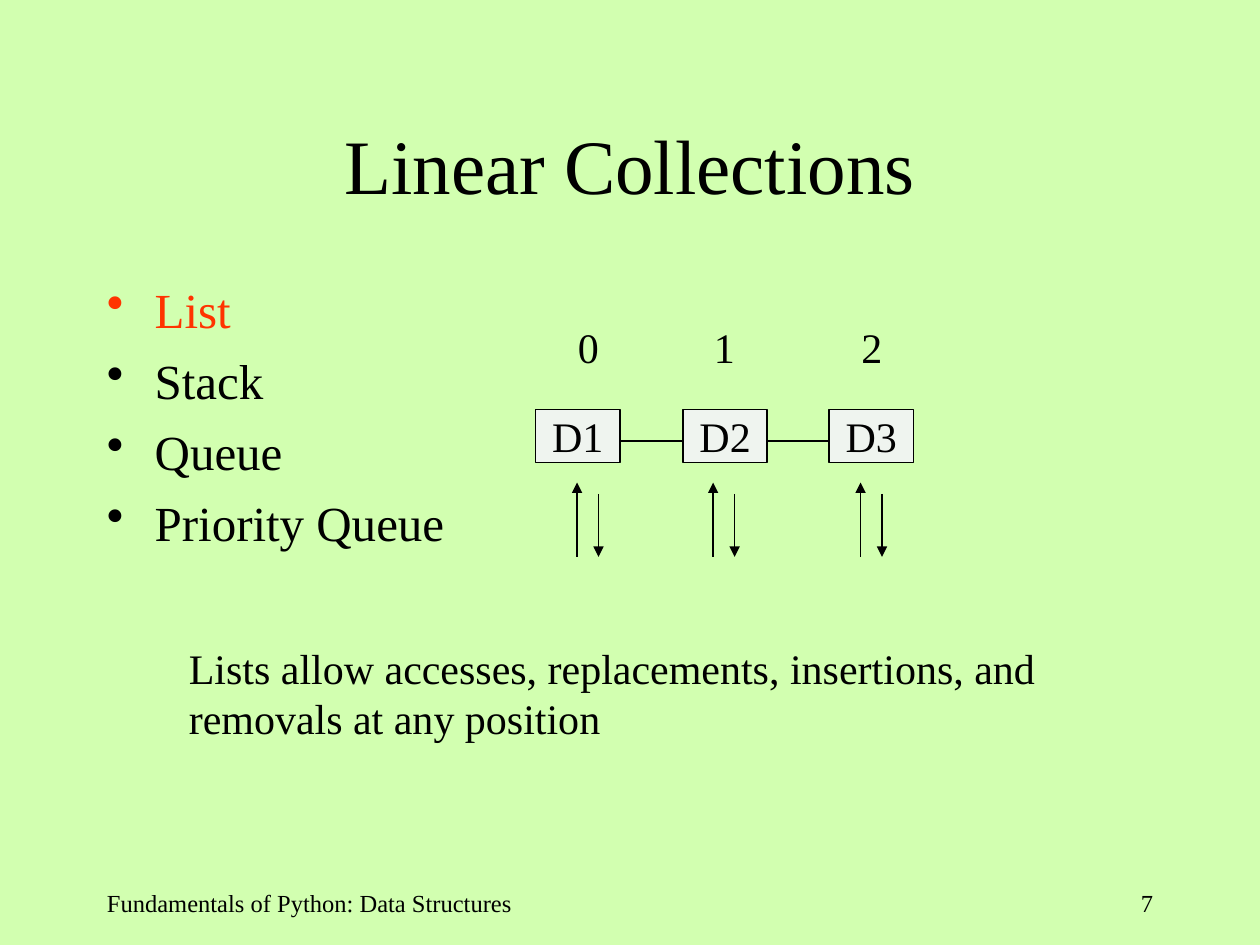
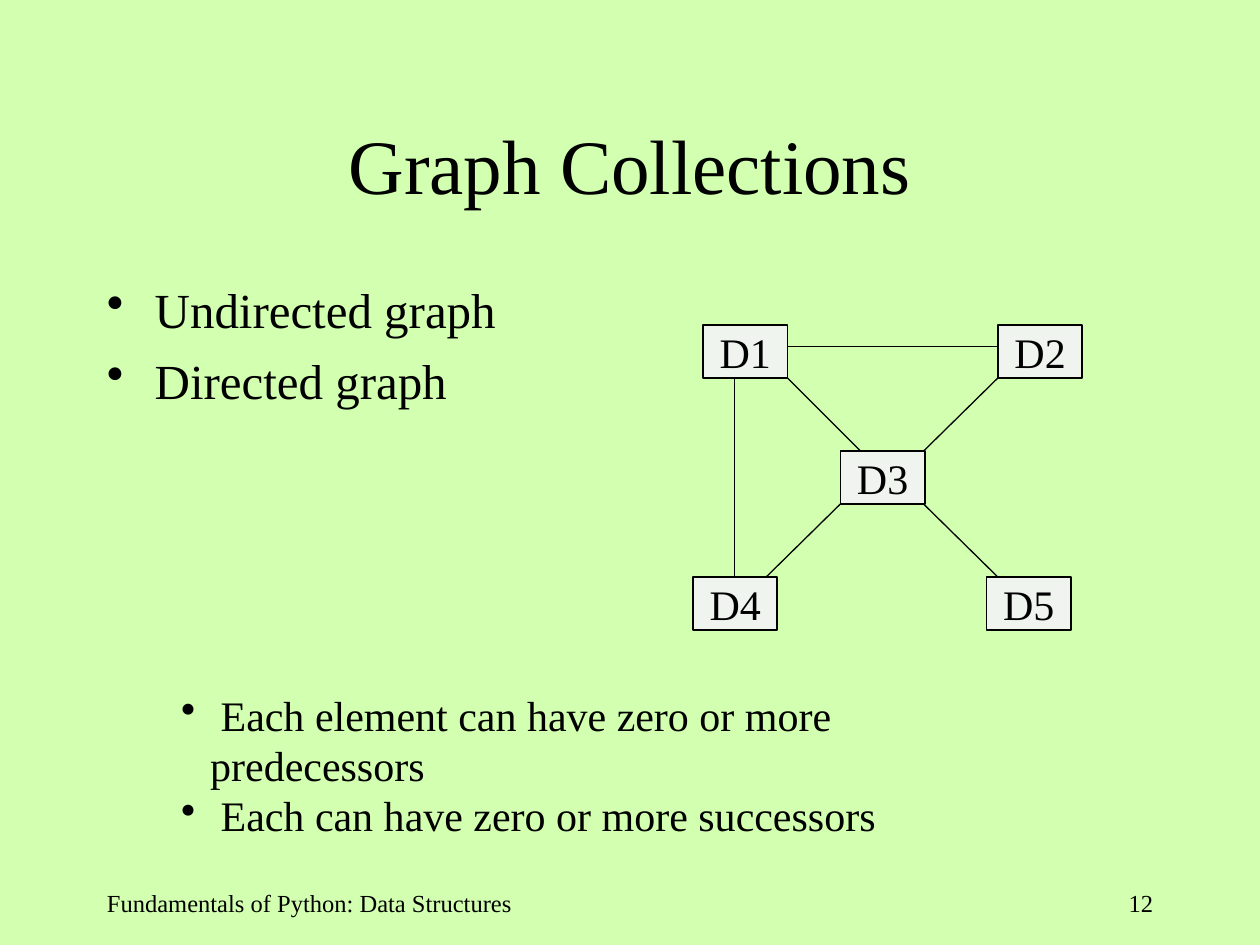
from lxml import etree
from pptx import Presentation
from pptx.dml.color import RGBColor
from pptx.enum.shapes import MSO_CONNECTOR, MSO_SHAPE
from pptx.enum.text import MSO_ANCHOR, PP_ALIGN
from pptx.oxml.ns import qn
from pptx.util import Inches, Pt

STRAIGHT = MSO_CONNECTOR.STRAIGHT
RECTANGLE = MSO_SHAPE.RECTANGLE
MIDDLE, TOP = MSO_ANCHOR.MIDDLE, MSO_ANCHOR.TOP
LEFT, CENTER, RIGHT = PP_ALIGN.LEFT, PP_ALIGN.CENTER, PP_ALIGN.RIGHT

COLORS = {"background": "D2FFB0", "ink": "000000", "highlight": "FF3300", "node": "EFF4EF"}
FONT = "Times New Roman"
FOOTER = "Fundamentals of Python: Data Structures"
NODE_WIDTH, NODE_HEIGHT = 0.67, 0.42


def write_text(shape, lines, size, align=LEFT, anchor=TOP, wrap=True, indent=0, space=0, highlight=None):
    frame = shape.text_frame
    frame.word_wrap = wrap
    frame.vertical_anchor = anchor
    frame.text = "\n".join(lines)
    for paragraph in frame.paragraphs:
        color = COLORS["highlight" if paragraph.text == highlight else "ink"]
        if indent:
            properties = paragraph._p.get_or_add_pPr()
            properties.set("marL", str(Inches(indent)))
            properties.set("indent", str(Inches(-indent)))
            bullet_color = etree.SubElement(properties, qn("a:buClr"))
            etree.SubElement(bullet_color, qn("a:srgbClr"), val=color)
            etree.SubElement(properties, qn("a:buChar"), char="•")
        paragraph.alignment = align
        paragraph.space_before = Pt(space)
        paragraph.font.name = FONT
        paragraph.font.size = Pt(size)
        paragraph.font.color.rgb = RGBColor.from_string(color)


def add_line(slide, start, end, arrow=False):
    line = slide.shapes.add_connector(STRAIGHT, *(Inches(value) for value in (*start, *end)))
    line.line.color.rgb = RGBColor.from_string(COLORS["ink"])
    line.line.width = Pt(0.75)
    if arrow:
        etree.SubElement(line.line._get_or_add_ln(), qn("a:tailEnd"), type="triangle")
    etree.SubElement(line._element.spPr, qn("a:effectLst"))


list_nodes = {f"D{i + 1}": (round(4.25 + i * 7 / 6, 2), 3.25) for i in range(3)}
list_links = [((left + NODE_WIDTH, 3.5), (left + 7 / 6, 3.5)) for left in (4.25, 5.42)]
index_centers = [4.67, 5.75, 6.92]

graph_nodes = {
    "D1": (5.58, 2.58),
    "D2": (7.92, 2.58),
    "D3": (6.67, 3.58),
    "D4": (5.5, 4.58),
    "D5": (7.83, 4.58),
}
graph_links = [
    ((6.25, 2.75), (7.92, 2.75)),
    ((5.83, 3), (5.83, 4.58)),
    ((6.25, 3), (6.83, 3.58)),
    ((7.92, 3), (7.33, 3.58)),
    ((6.67, 4), (6.08, 4.58)),
    ((7.33, 4), (7.92, 4.58)),
]

pages = [
    ("Linear Collections", "7", ["List", "Stack", "Queue", "Priority Queue"], list_nodes, list_links),
    ("Graph Collections", "12", ["Undirected graph", "Directed graph"], graph_nodes, graph_links),
]

presentation = Presentation()
presentation.slide_width = Inches(10)
presentation.slide_height = Inches(7.5)

for title, number, topics, nodes, links in pages:
    slide = presentation.slides.add_slide(presentation.slide_layouts[6])
    slide.background.fill.solid()
    slide.background.fill.fore_color.rgb = RGBColor.from_string(COLORS["background"])

    title_box = slide.shapes.add_textbox(Inches(0.75), Inches(0.67), Inches(8.5), Inches(1.25))
    write_text(title_box, [title], 44, CENTER, MIDDLE)
    topics_box = slide.shapes.add_textbox(Inches(0.75), Inches(2.17), Inches(4.17), Inches(4.5))
    write_text(topics_box, topics, 28, indent=0.38, space=7, highlight="List")
    footer_box = slide.shapes.add_textbox(Inches(0.75), Inches(7), Inches(3.92), Inches(0.5))
    write_text(footer_box, [FOOTER], 14)
    number_box = slide.shapes.add_textbox(Inches(7.17), Inches(7), Inches(2.08), Inches(0.5))
    write_text(number_box, [number], 14, RIGHT)

    for name, (left, top) in nodes.items():
        node = slide.shapes.add_shape(
            RECTANGLE, Inches(left), Inches(top), Inches(NODE_WIDTH), Inches(NODE_HEIGHT)
        )
        node.shadow.inherit = False
        node.fill.solid()
        node.fill.fore_color.rgb = RGBColor.from_string(COLORS["node"])
        node.line.color.rgb = RGBColor.from_string(COLORS["ink"])
        node.line.width = Pt(1)
        write_text(node, [name], 24, CENTER, MIDDLE, wrap=False)
    for start, end in links:
        add_line(slide, start, end)

list_slide, graph_slide = presentation.slides

for index, center in enumerate(index_centers):
    index_box = list_slide.shapes.add_textbox(Inches(center - 0.25), Inches(2.5), Inches(0.5), Inches(0.5))
    write_text(index_box, [str(index)], 24, CENTER)
    add_line(list_slide, (center - 0.09, 4.42), (center - 0.09, 3.83), arrow=True)
    add_line(list_slide, (center + 0.08, 3.92), (center + 0.08, 4.42), arrow=True)

list_note = list_slide.shapes.add_textbox(Inches(1.4), Inches(5.05), Inches(7.02), Inches(0.9))
write_text(list_note, ["Lists allow accesses, replacements, insertions, and removals at any position"], 24)

graph_note = graph_slide.shapes.add_textbox(Inches(1.34), Inches(5.42), Inches(6.9), Inches(0.9))
graph_rules = [
    " Each element can have zero or more predecessors",
    " Each can have zero or more successors",
]
write_text(graph_note, graph_rules, 24, indent=0.23)

presentation.save("out.pptx")
